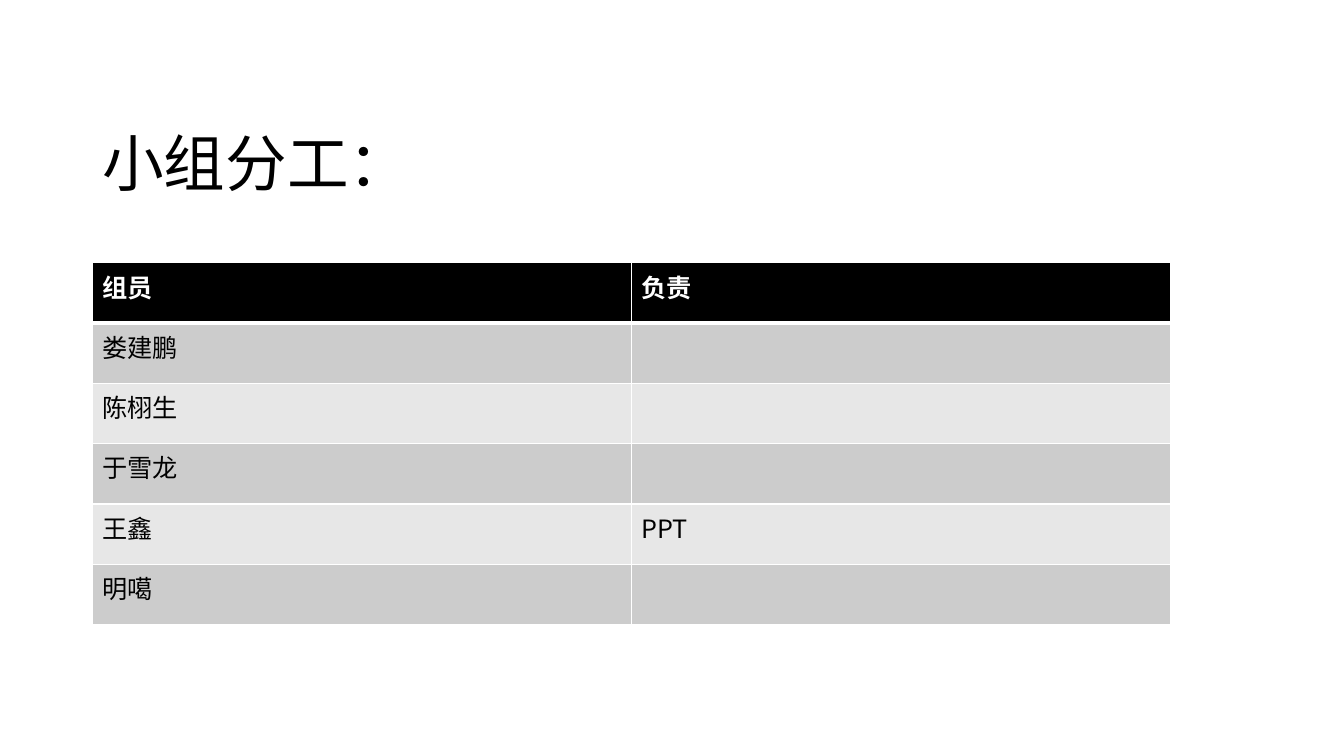
"""Build a slide with a table of team members and their duties."""
from dataclasses import dataclass

from lxml.etree import SubElement
from pptx import Presentation
from pptx.dml.color import RGBColor
from pptx.enum.text import MSO_ANCHOR
from pptx.oxml.ns import qn
from pptx.slide import Slide
from pptx.table import _Cell
from pptx.text.text import _Paragraph
from pptx.util import Cm, Pt

FONT = "Noto Sans CJK SC"
BLACK, WHITE = "000000", "FFFFFF"
BANDS = ("CCCCCC", "E7E7E7")
LEFT = Cm(2.33)
COL_WIDTH, ROW_HEIGHT = Cm(13.58), Cm(1.52)


@dataclass
class Row:
    member: str
    duty: str = ""


@dataclass
class RowStyle:
    fill: str
    color: str
    bold: bool
    top: float = 1
    bottom: float = 1


HEADER = Row("组员", "负责")
MEMBERS = [Row("娄建鹏"), Row("陈栩生"), Row("于雪龙"), Row("王鑫", "PPT"), Row("明噶")]


def rgb(value: str) -> RGBColor:
    return RGBColor.from_string(value)


def write(p: _Paragraph, text: str, size: float, color: str, bold: bool = False) -> None:
    p.text = text
    for r in p.runs:
        r.font.name = FONT
        r.font.size = Pt(size)
        r.font.bold = bold
        r.font.color.rgb = rgb(color)
        SubElement(r.font._element, qn("a:ea"), typeface=FONT)


def add_border(cell: _Cell, side: str, width: float) -> None:
    ln = SubElement(cell._tc.get_or_add_tcPr(), qn(f"a:ln{side}"), w=str(Pt(width)))
    SubElement(SubElement(ln, qn("a:solidFill")), qn("a:srgbClr"), val=WHITE)


def draw_cell(cell: _Cell, text: str, style: RowStyle) -> None:
    widths = {"L": 1, "R": 1, "T": style.top, "B": style.bottom}
    for side, width in widths.items():
        add_border(cell, side, width)
    cell.fill.solid()
    cell.fill.fore_color.rgb = rgb(style.fill)
    write(cell.text_frame.paragraphs[0], text, 18, style.color, style.bold)


def row_style(index: int) -> RowStyle:
    if index == 0:
        return RowStyle(BLACK, WHITE, True, bottom=3)
    return RowStyle(BANDS[(index - 1) % 2], BLACK, False, top=3 if index == 1 else 1)


def draw_title(s: Slide, text: str) -> None:
    tf = s.shapes.add_textbox(LEFT, Cm(2.36), Cm(29.21), Cm(3.68)).text_frame
    tf.word_wrap = True
    tf.vertical_anchor = MSO_ANCHOR.MIDDLE
    p = tf.paragraphs[0]
    p.line_spacing = 0.9
    write(p, text, 44, BLACK)


def draw_table(s: Slide, rows: list[Row]) -> None:
    table = s.shapes.add_table(
        len(rows), 2, LEFT, Cm(6.62), COL_WIDTH * 2, ROW_HEIGHT * len(rows)
    ).table
    for column in table.columns:
        column.width = COL_WIDTH
    for i, row in enumerate(rows):
        table.rows[i].height = ROW_HEIGHT
        for j, text in enumerate((row.member, row.duty)):
            draw_cell(table.cell(i, j), text, row_style(i))


def main() -> None:
    prs = Presentation()
    prs.slide_width, prs.slide_height = Cm(33.87), Cm(19.05)
    s = prs.slides.add_slide(prs.slide_layouts[6])
    draw_title(s, "小组分工：")
    draw_table(s, [HEADER, *MEMBERS])
    prs.save("out.pptx")


if __name__ == "__main__":
    main()
